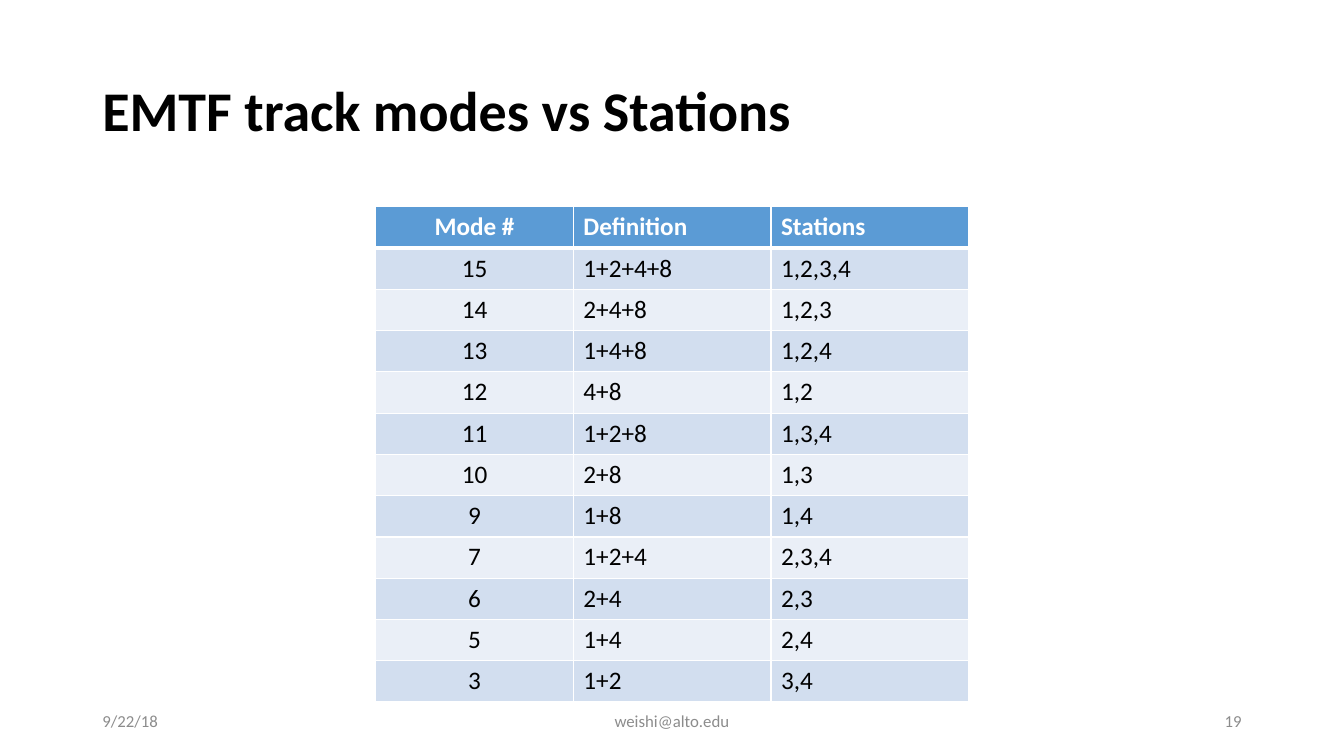
from lxml.etree import SubElement
from pptx import Presentation
from pptx.dml.color import RGBColor
from pptx.enum.text import MSO_ANCHOR, PP_ALIGN
from pptx.oxml.ns import qn
from pptx.util import Cm, Pt

TITLE = "EMTF track modes vs Stations"
FOOTERS = [
    ("9/22/18", 2.33, 7.62, PP_ALIGN.LEFT),
    ("weishi@alto.edu", 11.22, 11.43, PP_ALIGN.CENTER),
    ("19", 23.92, 7.62, PP_ALIGN.RIGHT),
]
MODES = [
    ("Mode #", "Definition", "Stations"),
    ("15", "1+2+4+8", "1,2,3,4"),
    ("14", "2+4+8", "1,2,3"),
    ("13", "1+4+8", "1,2,4"),
    ("12", "4+8", "1,2"),
    ("11", "1+2+8", "1,3,4"),
    ("10", "2+8", "1,3"),
    ("9", "1+8", "1,4"),
    ("7", "1+2+4", "2,3,4"),
    ("6", "2+4", "2,3"),
    ("5", "1+4", "2,4"),
    ("3", "1+2", "3,4"),
]

FONT = "Calibri"
BLACK = RGBColor(0x00, 0x00, 0x00)
WHITE = RGBColor(0xFF, 0xFF, 0xFF)
GREY = RGBColor(0x8C, 0x8C, 0x8C)
HEADER_BLUE = RGBColor(0x5B, 0x9B, 0xD5)
BANDS = [RGBColor(0xEA, 0xEF, 0xF7), RGBColor(0xD2, 0xDE, 0xEF)]

TABLE_LEFT, TABLE_TOP = 9.47, 5.21
COLUMN_WIDTH, ROW_HEIGHT = 4.98, 1.04


def write_text(frame, text, size=18, color=BLACK, bold=False,
               align=PP_ALIGN.LEFT, spacing=1.0):
    paragraph = frame.paragraphs[0]
    paragraph.alignment = align
    paragraph.line_spacing = spacing
    run = paragraph.add_run()
    run.text = text
    run.font.name = FONT
    run.font.size = Pt(size)
    run.font.bold = bold
    run.font.color.rgb = color


def add_text_box(slide, text, left, top, width, height, **text_format):
    box = slide.shapes.add_textbox(Cm(left), Cm(top), Cm(width), Cm(height))
    box.text_frame.word_wrap = True
    box.text_frame.vertical_anchor = MSO_ANCHOR.MIDDLE
    write_text(box.text_frame, text, **text_format)


def add_borders(cell, top, bottom):
    properties = cell._tc.get_or_add_tcPr()
    for side, points in (("L", 1), ("R", 1), ("T", top), ("B", bottom)):
        line = SubElement(properties, qn(f"a:ln{side}"), w=str(Pt(points)))
        fill = SubElement(line, qn("a:solidFill"))
        SubElement(fill, qn("a:srgbClr"), val=str(WHITE))


def add_mode_table(slide):
    row_count, column_count = len(MODES), len(MODES[0])
    table = slide.shapes.add_table(
        row_count, column_count, Cm(TABLE_LEFT), Cm(TABLE_TOP),
        Cm(COLUMN_WIDTH * column_count), Cm(ROW_HEIGHT * row_count)).table
    for column in table.columns:
        column.width = Cm(COLUMN_WIDTH)
    for row_index, values in enumerate(MODES):
        table.rows[row_index].height = Cm(ROW_HEIGHT)
        header = row_index == 0
        for column_index, value in enumerate(values):
            cell = table.cell(row_index, column_index)
            add_borders(cell, top=3 if row_index == 1 else 1,
                        bottom=3 if header else 1)
            cell.fill.solid()
            cell.fill.fore_color.rgb = HEADER_BLUE if header else BANDS[row_index % 2]
            write_text(cell.text_frame, value, bold=header,
                       color=WHITE if header else BLACK,
                       align=PP_ALIGN.LEFT if column_index else PP_ALIGN.CENTER)


def main():
    presentation = Presentation()
    presentation.slide_width = Cm(33.87)
    presentation.slide_height = Cm(19.05)
    slide = presentation.slides.add_slide(presentation.slide_layouts[6])
    add_text_box(slide, TITLE, 2.33, 1.01, 29.21, 3.68,
                 size=40, bold=True, spacing=0.9)
    for text, left, width, align in FOOTERS:
        add_text_box(slide, text, left, 17.66, width, 1.01,
                     size=12, color=GREY, align=align)
    add_mode_table(slide)
    presentation.save("out.pptx")


if __name__ == "__main__":
    main()
